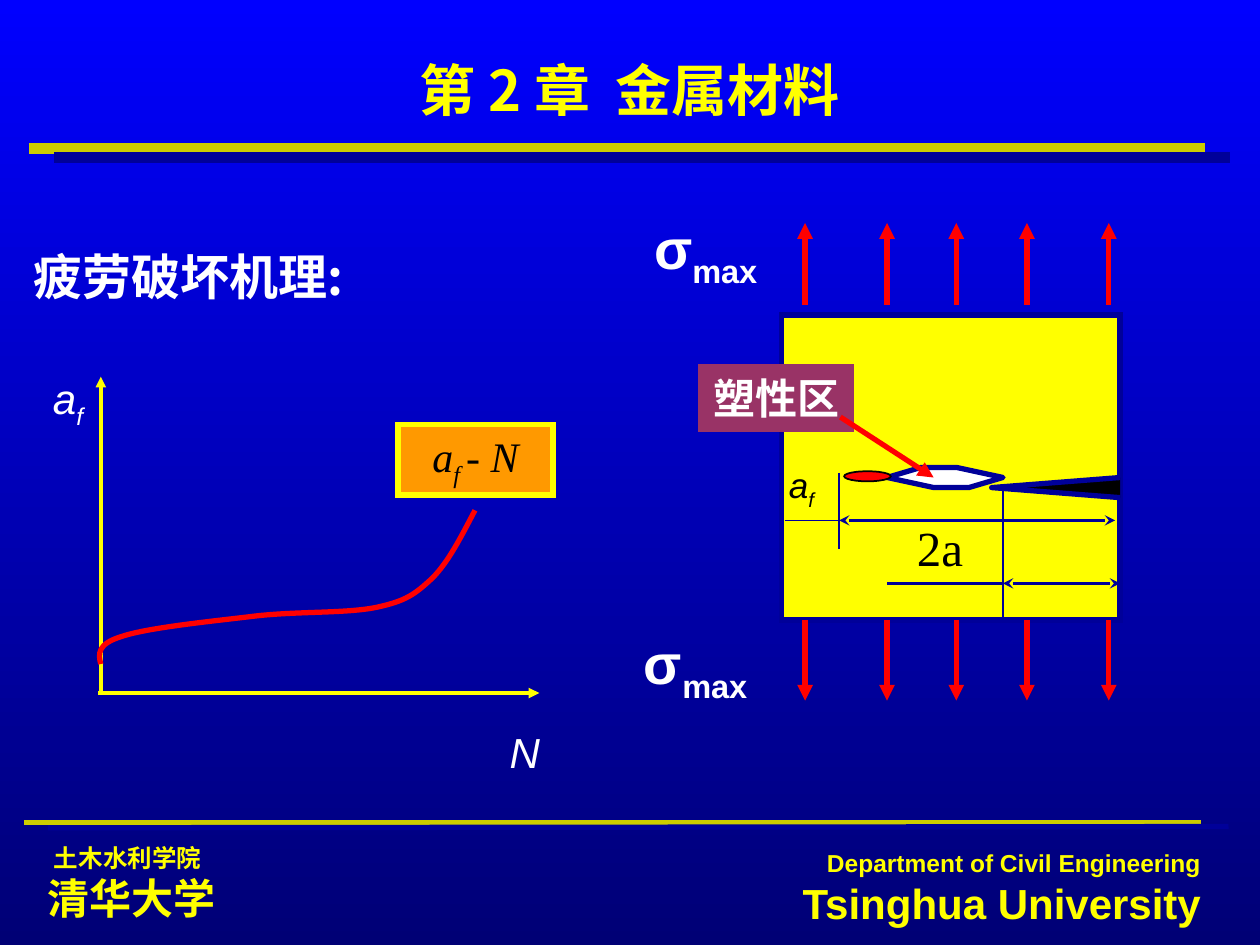
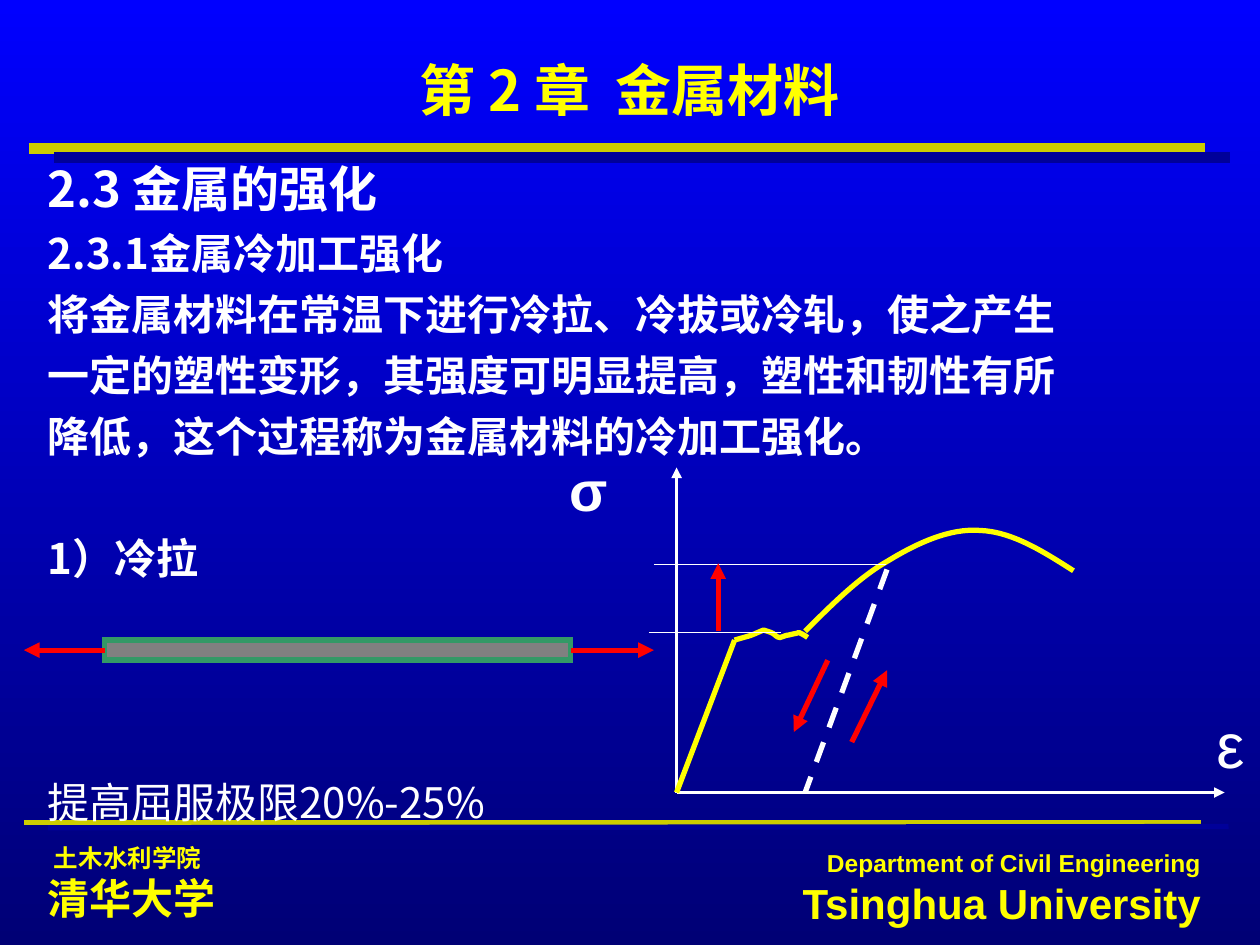
from lxml import etree
from pptx import Presentation
from pptx import util as u
from pptx.dml.color import RGBColor
from pptx.enum import dml, shapes, text
from pptx.oxml.ns import qn

YELLOW = RGBColor(0xFF, 0xFF, 0x00)
GOLD = RGBColor(0xCC, 0xCC, 0x00)
NAVY = RGBColor(0x00, 0x00, 0x99)
WHITE = RGBColor(0xFF, 0xFF, 0xFF)
BLACK = RGBColor(0x00, 0x00, 0x00)
RED = RGBColor(0xFF, 0x00, 0x00)
PLUM = RGBColor(0x99, 0x33, 0x66)
ORANGE = RGBColor(0xFF, 0x99, 0x00)
GREY = RGBColor(0x80, 0x80, 0x80)
GREEN = RGBColor(0x33, 0x99, 0x66)
BACKGROUND = (RGBColor(0x00, 0x00, 0xFF), RGBColor(0x00, 0x00, 0x75))

CJK, SANS, SERIF = "Noto Sans CJK SC", "Arial", "Times New Roman"
CENTER, RIGHT = text.PP_ALIGN.CENTER, text.PP_ALIGN.RIGHT
MIDDLE = text.MSO_ANCHOR.MIDDLE

# Shared by both slides
TITLE = ("第 2 章", " ", "金属材料")  # the gap in the middle is widened
BANDS = [  # start, end, colour, width
    ((0.23, 1.18), (9.56, 1.18), GOLD, 6),
    ((0.43, 1.25), (9.76, 1.25), NAVY, 6),
    ((0.19, 6.53), (9.53, 6.53), GOLD, 3),
    ((0.38, 6.57), (9.75, 6.56), NAVY, 3),
]
FOOTERS = [  # box, alignment, first-line indent, (text, size) lines
    ((0.28, 6.62, 3.98, 0.77), None, 0.05, [("土木水利学院", 14), ("清华大学", 24)]),
    ((5.65, 6.68, 3.98, 0.74), RIGHT, 0,
     [("Department of Civil Engineering", 14), ("Tsinghua University", 24)]),
]

# Fatigue slide; in a label, each odd part is a subscript
STRESS_XS = (6.39, 7.04, 7.59, 8.15, 8.8)
STRESS_ROWS = ((2.42, 1.77), (4.92, 5.56))
STRESS_LABELS = ((4.99, 1.69, 1.22, 0.61), (4.91, 4.99, 1.22, 0.61))
CRACK_LINES = [  # start, end, width, double-headed
    ((7.96, 4.63), (8.89, 4.63), 1.5, True),
    ((7.96, 3.87), (7.96, 4.92), 1.5, False),
    ((7.96, 4.63), (7.04, 4.63), 1.5, False),
    ((6.66, 3.75), (6.66, 4.36), 1, False),
    ((6.66, 4.13), (8.85, 4.13), 1.5, True),
    ((6.66, 4.13), (6.23, 4.13), 1, False),
]
CRACK_WEDGE = [(8.89, 3.79), (7.87, 3.87), (8.89, 3.95)]
PLASTIC_ZONE = [(7.96, 3.79), (7.59, 3.71), (7.31, 3.71), (7.04, 3.79),
                (7.41, 3.87), (7.69, 3.87)]
# Curves: a start, then two controls and an end for each piece
GROWTH_CURVE = [(0.8, 5.27), (0.78, 5.19), (0.77, 5.11), (0.97, 5.05),
                (1.18, 4.98), (1.69, 4.93), (2.02, 4.89),
                (2.36, 4.85), (2.75, 4.87), (2.99, 4.82),
                (3.22, 4.77), (3.29, 4.72), (3.43, 4.59),
                (3.56, 4.46), (3.66, 4.26), (3.77, 4.05)]

# Cold working slide
BODY = [  # text, size, bold, space before
    ("2.3 金属的强化", 28, True, 0),
    ("2.3.1金属冷加工强化", 24, True, 6),
    ("将金属材料在常温下进行冷拉、冷拔或冷轧，使之产生", 24, True, 6),
    ("一定的塑性变形，其强度可明显提高，塑性和韧性有所", 24, True, 6),
    ("降低，这个过程称为金属材料的冷加工强化。", 24, True, 6),
    ("1）冷拉", 24, True, 40.8),
    ("提高屈服极限20%-25%", 24, False, 110.4),
]
ORIGIN = (5.37, 6.29)
HARDENING_CURVE = [(6.39, 5.01), (6.6, 4.8), (6.82, 4.58), (7.05, 4.45),
                   (7.28, 4.31), (7.54, 4.19), (7.78, 4.21),
                   (8.03, 4.22), (8.27, 4.37), (8.52, 4.53)]
YIELD_CURVE = [(5.83, 5.08), (6, 5.03), (5.92, 5.06), (6.06, 5),
               (6.08, 5.01), (6.1, 5.01), (6.12, 5.02),
               (6.15, 5.03), (6.16, 5.06), (6.19, 5.06),
               (6.21, 5.06), (6.23, 5.04), (6.26, 5.04),
               (6.29, 5.03), (6.32, 5.03), (6.34, 5.02),
               (6.37, 5.03), (6.41, 5.06), (6.41, 5.06)]
LEVELS = [((5.19, 4.48), (7.03, 4.48)), ((5.15, 5.02), (6.2, 5.02))]
RED_ARROWS = [((6.57, 5.24), (6.3, 5.81)), ((6.76, 5.89), (7.04, 5.32)),
              ((5.7, 5.01), (5.7, 4.47))]


def inches(values):
    return [u.Inches(value) for value in values]


def format_paragraph(paragraph, size, color, font=SANS, bold=False, italic=False, align=None):
    paragraph.alignment = align
    paragraph.font.size = u.Pt(size)
    paragraph.font.name = font
    paragraph.font.bold = bold
    paragraph.font.italic = italic
    paragraph.font.color.rgb = color
    defaults = paragraph._p.pPr.find(qn("a:defRPr"))
    etree.SubElement(defaults, qn("a:ea")).set("typeface", CJK)


def add_runs(paragraph, parts, attribute, value):
    """Add one run per part, and set the attribute on each odd one."""
    for index, part in enumerate(parts):
        run = paragraph.add_run()
        run.text = part
        if index % 2:
            run._r.get_or_add_rPr().set(attribute, value)


def write_label(shape, parts, size, color, anchor=MIDDLE, inset=True, **style):
    """Write one centred line whose odd parts are subscripts."""
    frame = shape.text_frame
    frame.word_wrap = True
    frame.vertical_anchor = anchor
    if not inset:
        frame.margin_left = frame.margin_right = frame.margin_top = frame.margin_bottom = 0
    paragraph = frame.paragraphs[0]
    add_runs(paragraph, parts, "baseline", "-25000")
    format_paragraph(paragraph, size, color, align=CENTER, **style)


def add_label(slide, box, parts, size, color, **style):
    write_label(slide.shapes.add_textbox(*inches(box)), parts, size, color, **style)


def paint(shape, fill, line, width):
    shape.shadow.inherit = False
    if fill is None:
        shape.fill.background()
    else:
        shape.fill.solid()
        shape.fill.fore_color.rgb = fill
    shape.line.color.rgb = line
    shape.line.width = u.Pt(width)


def add_box(slide, box, fill, line, width=3, kind=shapes.MSO_SHAPE.RECTANGLE):
    shape = slide.shapes.add_shape(kind, *inches(box))
    paint(shape, fill, line, width)
    outline = shape._element.spPr.find(qn("a:ln"))
    etree.SubElement(outline, qn("a:miter")).set("lim", "800000")
    return shape


def add_line(slide, start, end, color, width, head=None, tail=None, dash=None):
    line = slide.shapes.add_connector(shapes.MSO_CONNECTOR.STRAIGHT, *inches(start + end))
    line.line.color.rgb = color
    line.line.width = u.Pt(width)
    if dash:
        line.line.dash_style = dash
    properties = line._element.spPr
    for tag, kind in (("a:headEnd", head), ("a:tailEnd", tail)):
        if kind:
            etree.SubElement(properties.find(qn("a:ln")), qn(tag)).set("type", kind)
    etree.SubElement(properties, qn("a:effectLst"))
    return line


def add_outline(slide, points, line, fill=None, close=False):
    points = [inches(point) for point in points]
    builder = slide.shapes.build_freeform(*points[0])
    builder.add_line_segments(points[1:], close=close)
    shape = builder.convert_to_shape()
    paint(shape, fill, line, 3)
    return shape


def add_curve(slide, points, line):
    """Draw an outline, then turn each three of its segments into one cubic curve."""
    shape = add_outline(slide, points, line)
    segments = list(shape._element.iter(qn("a:lnTo")))
    for first in range(0, len(segments), 3):
        curve = etree.Element(qn("a:cubicBezTo"))
        segments[first].addprevious(curve)
        for segment in segments[first:first + 3]:
            curve.append(segment[0])
            segment.getparent().remove(segment)


def add_body(slide, box, lines):
    frame = slide.shapes.add_textbox(*inches(box)).text_frame
    frame.word_wrap = True
    for index, (line, size, bold, space) in enumerate(lines):
        paragraph = frame.add_paragraph() if index else frame.paragraphs[0]
        paragraph.text = line
        paragraph.space_before = u.Pt(space)
        format_paragraph(paragraph, size, WHITE, CJK, bold)


def add_slide(presentation):
    slide = presentation.slides.add_slide(presentation.slide_layouts[5])
    title = slide.shapes.title
    title.left, title.top, title.width, title.height = inches((0.75, 0.37, 8.5, 0.68))
    title.text_frame.vertical_anchor = MIDDLE
    heading = title.text_frame.paragraphs[0]
    add_runs(heading, TITLE, "spc", "720")
    format_paragraph(heading, 32, YELLOW, CJK, True, align=CENTER)
    for band in BANDS:
        add_line(slide, *band)
    for box, align, indent, lines in FOOTERS:
        frame = slide.shapes.add_textbox(*inches(box)).text_frame
        frame.word_wrap = True
        frame.vertical_anchor = MIDDLE
        for index, (line, size) in enumerate(lines):
            paragraph = frame.add_paragraph() if index else frame.paragraphs[0]
            paragraph.text = line
            if indent and not index:
                paragraph._p.get_or_add_pPr().set("indent", str(u.Inches(indent)))
            format_paragraph(paragraph, size, YELLOW, bold=True, align=align)
    return slide


def build_fatigue_slide(presentation):
    slide = add_slide(presentation)
    add_body(slide, (0.17, 1.91, 4.5, 0.6), [("疲劳破坏机理:", 28, True, 0)])

    add_box(slide, (6.2, 2.5, 2.69, 2.42), YELLOW, NAVY)
    add_label(slide, (7.18, 4.04, 0.56, 0.6), ["2a"], 28, BLACK, font=SERIF, inset=False)
    add_outline(slide, CRACK_WEDGE, NAVY, BLACK)
    for start, end, width, double in CRACK_LINES:
        ends = "stealth" if double else None
        add_line(slide, start, end, NAVY, width, ends, ends)
    add_outline(slide, PLASTIC_ZONE, NAVY, WHITE, close=True)
    zone_label = add_box(slide, (5.56, 2.91, 1.2, 0.5), PLUM, PLUM)
    write_label(zone_label, ["塑性区"], 24, WHITE, bold=True)
    add_line(slide, (6.67, 3.31), (7.41, 3.79), RED, 3, tail="triangle")
    add_box(slide, (6.7, 3.74, 0.37, 0.08), RED, BLACK, 1, shapes.MSO_SHAPE.OVAL)
    add_label(slide, (6.1, 3.63, 0.52, 0.48), ["a", "f"], 20, BLACK, italic=True)

    for (start, end), box in zip(STRESS_ROWS, STRESS_LABELS):
        for x in STRESS_XS:
            add_line(slide, (x, start), (x, end), RED, 3, tail="triangle")
        add_label(slide, box, ["σ", "max"], 32, WHITE, bold=True, inset=False)

    add_line(slide, (0.8, 5.5), (0.8, 2.99), YELLOW, 2, tail="triangle")
    add_line(slide, (0.78, 5.5), (4.28, 5.5), YELLOW, 2, tail="triangle")
    add_curve(slide, GROWTH_CURVE, RED)
    top = text.MSO_ANCHOR.TOP
    add_label(slide, (3.86, 5.72, 0.61, 0.5), ["N"], 24, WHITE, anchor=top, italic=True)
    add_label(slide, (0.19, 2.91, 0.7, 0.56), ["a", "f"], 24, WHITE, anchor=top, italic=True)
    curve_label = add_box(slide, (3.16, 3.37, 1.23, 0.56), ORANGE, YELLOW)
    write_label(curve_label, ["a", "f ", "- N"], 24, BLACK, anchor=top, font=SERIF, italic=True)


def build_cold_working_slide(presentation):
    slide = add_slide(presentation)
    add_body(slide, (0.28, 1.21, 9.44, 5.4), BODY)

    add_line(slide, ORIGIN, (5.37, 3.71), WHITE, 2, tail="triangle")
    add_line(slide, ORIGIN, (9.72, 6.29), WHITE, 2, tail="triangle")
    add_label(slide, (4.35, 3.62, 0.65, 0.53), ["σ"], 32, WHITE, bold=True, inset=False)
    add_label(slide, (9.53, 5.55, 0.47, 0.7), ["ε"], 36, WHITE)
    add_line(slide, ORIGIN, YIELD_CURVE[0], YELLOW, 3)
    for curve in (HARDENING_CURVE, YIELD_CURVE):
        add_curve(slide, curve, YELLOW)
    add_line(slide, (7.04, 4.52), (6.39, 6.29), WHITE, 3, dash=dml.MSO_LINE.DASH)

    bar = add_box(slide, (0.83, 5.08, 3.7, 0.16), GREY, GREEN)
    for side, start, end in ((1, 0.83, 0.19), (3, 4.53, 5.19)):
        pull = add_line(slide, (start, 5.16), (end, 5.16), RED, 3, tail="triangle")
        pull.begin_connect(bar, side)
    for start, end in LEVELS:
        add_line(slide, start, end, WHITE, 1)
    for start, end in RED_ARROWS:
        add_line(slide, start, end, RED, 3, tail="triangle")


def main():
    presentation = Presentation()
    presentation.slide_width, presentation.slide_height = inches((10, 7.5))
    fill = presentation.slide_master.background.fill
    fill.gradient()
    fill.gradient_angle = 270
    for stop, color in zip(fill.gradient_stops, BACKGROUND):
        stop.color.rgb = color
    build_fatigue_slide(presentation)
    build_cold_working_slide(presentation)
    presentation.save("out.pptx")


if __name__ == "__main__":
    main()
